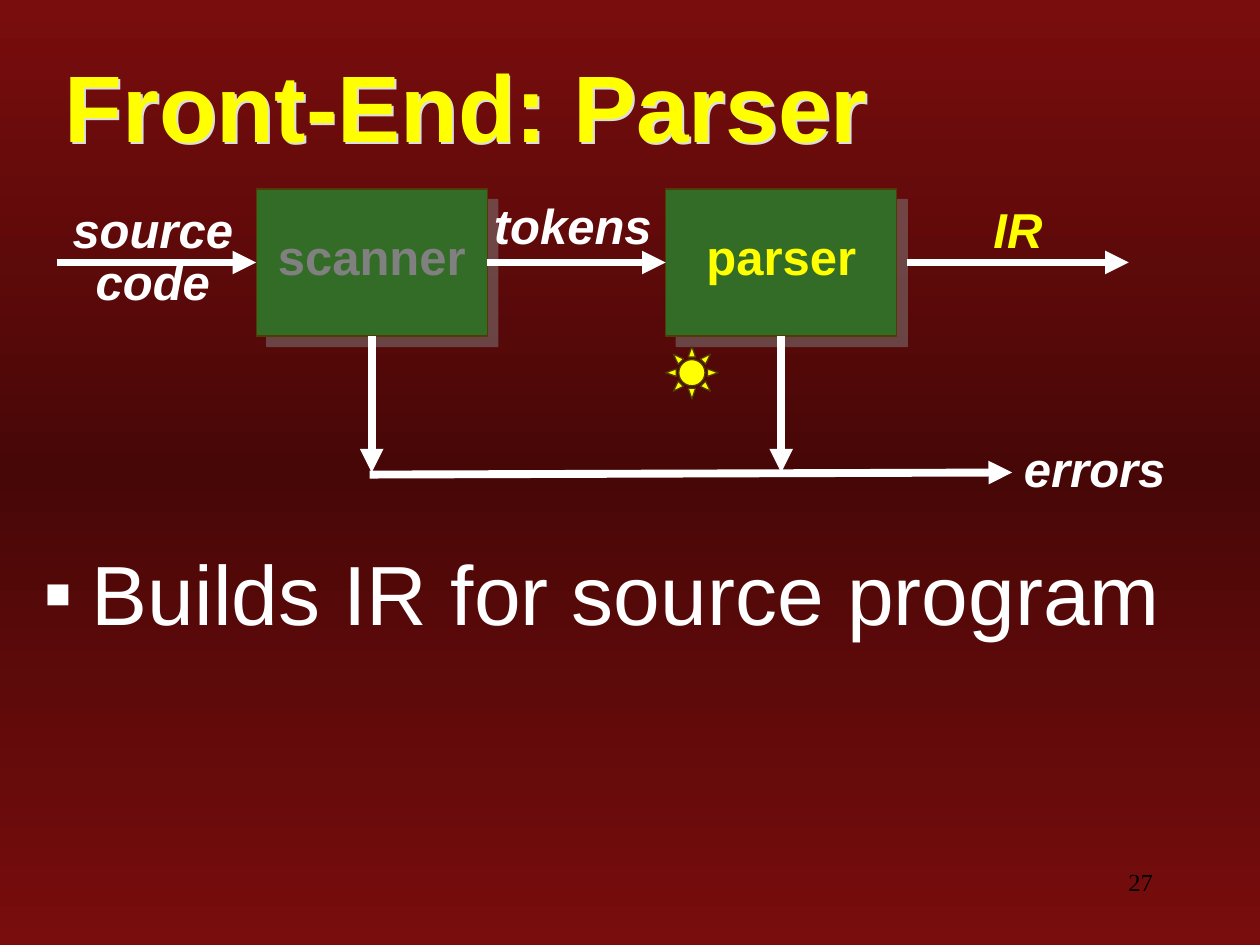
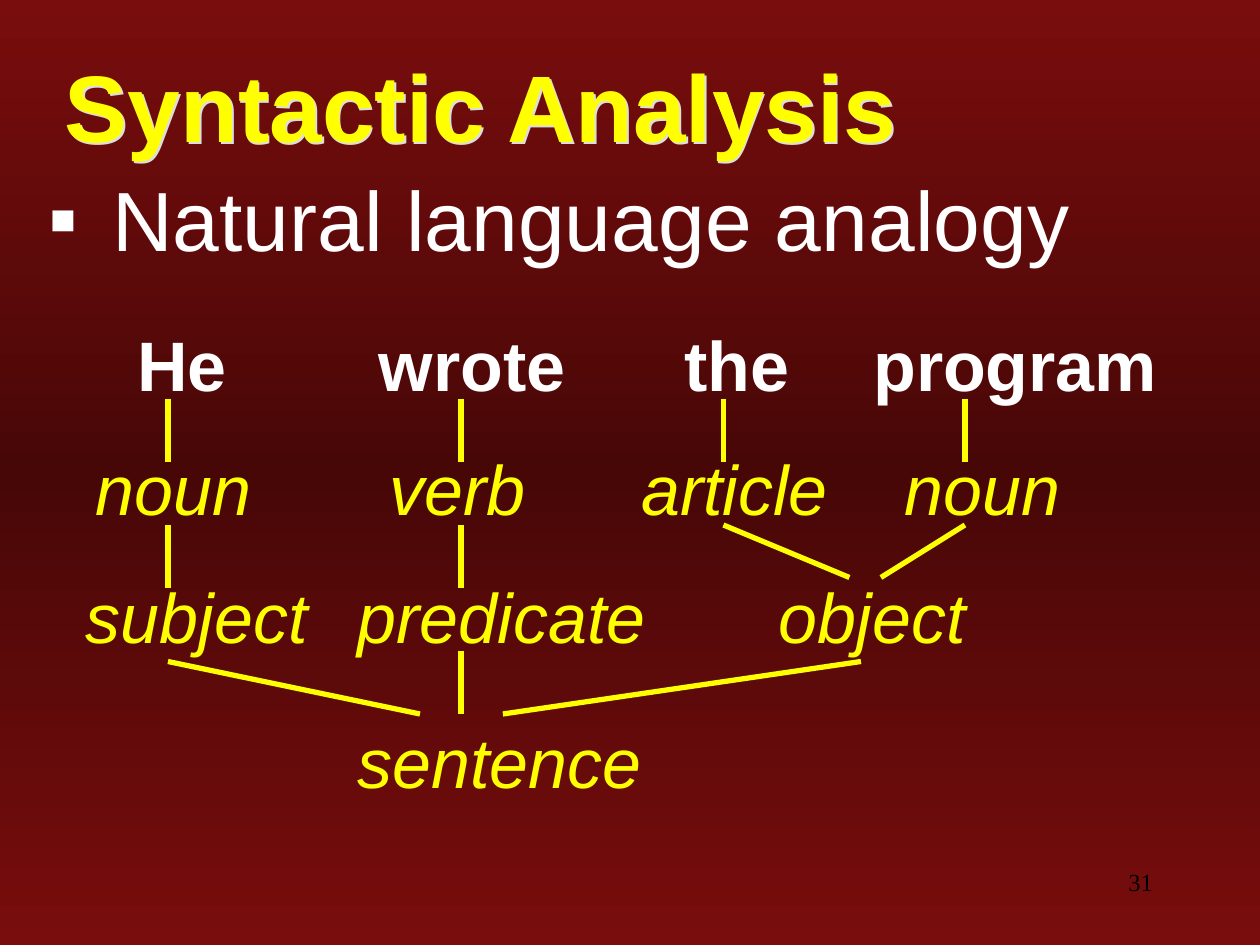
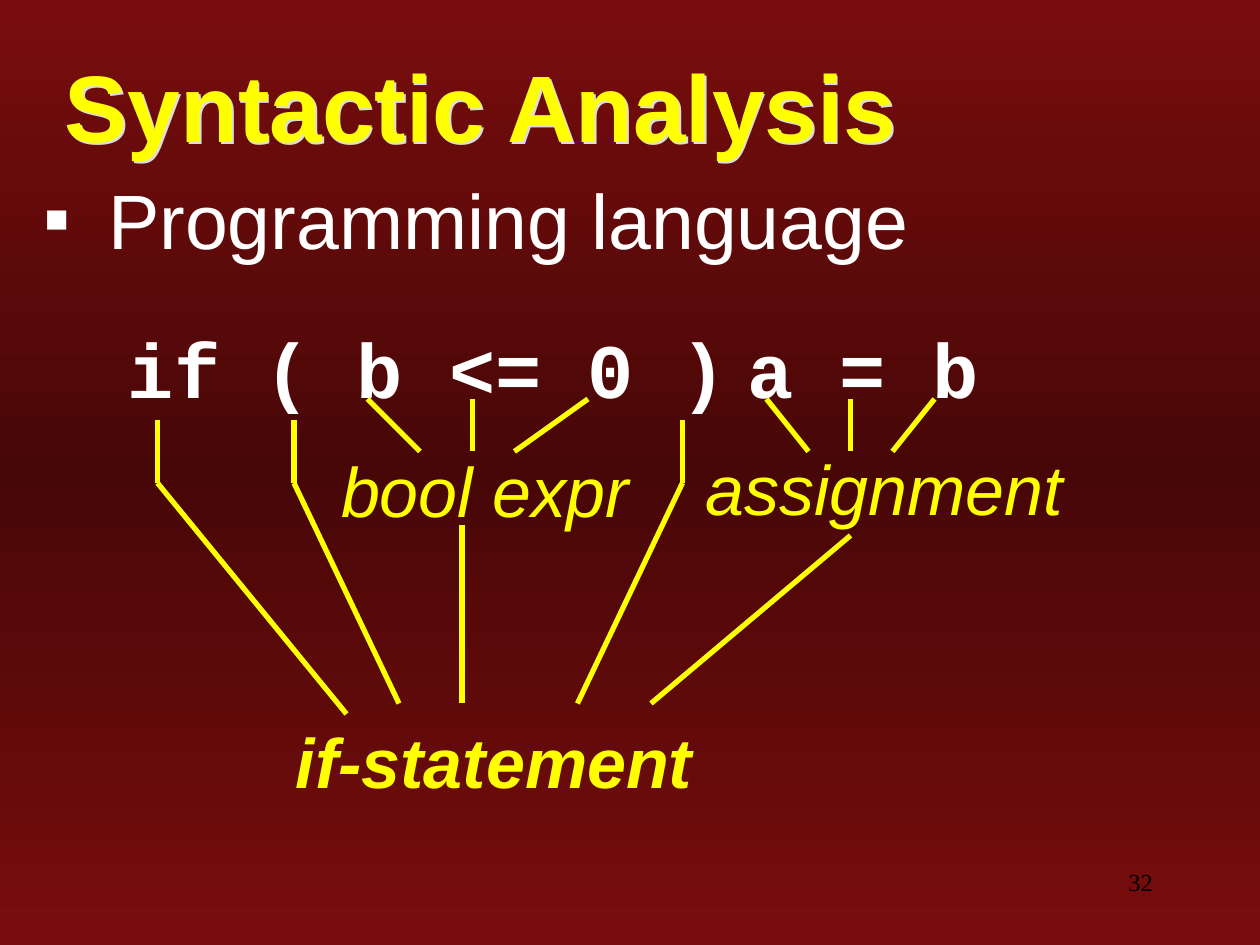
from dataclasses import dataclass, replace
from copy import deepcopy
from pptx import Presentation
from pptx.dml.color import RGBColor
from pptx.enum.shapes import MSO_CONNECTOR, MSO_SHAPE
from pptx.enum.text import MSO_ANCHOR, MSO_AUTO_SIZE, PP_ALIGN
from pptx.oxml import parse_xml
from pptx.oxml.ns import nsdecls, qn
from pptx.oxml.xmlchemy import OxmlElement
from pptx.util import Inches, Pt


@dataclass(frozen=True)
class Theme:
    """Colours, fonts and sizes shared by all slides."""
    edge: str = "790D0D"
    core: str = "480707"
    white: str = "FFFFFF"
    yellow: str = "FFFF00"
    grey: str = "808080"
    pale: str = "DDDDDD"
    green: str = "336C26"
    rim: str = "503C04"
    black: str = "000000"
    sans: str = "Arial"
    mono: str = "Courier New"
    serif: str = "Times New Roman"
    title: int = 54
    body: int = 48
    code: int = 44
    word: int = 40
    label: int = 28
    foot: int = 14
    arrow: float = 4.5
    branch: float = 3
    thin: float = 0.75


@dataclass(frozen=True)
class Style:
    """Look of one piece of text."""
    size: int
    color: str
    font: str = Theme.sans
    bold: bool = False
    italic: bool = False
    align: PP_ALIGN = PP_ALIGN.LEFT
    before: float = 0
    line: float = 1.0


T = Theme()
TITLE = Style(T.title, T.yellow, bold=True)
BODY = Style(T.body, T.white, before=T.body / 4)
FOOT = Style(T.foot, T.black, T.serif, align=PP_ALIGN.RIGHT)
NAME = Style(T.label, T.yellow, bold=True, align=PP_ALIGN.CENTER)
LABEL = replace(NAME, color=T.white, italic=True, line=0.9)
WORD = Style(T.word, T.white, bold=True, before=T.word * 0.625)
PART = replace(WORD, color=T.yellow, bold=False, italic=True)
CODE = replace(WORD, size=T.code, font=T.mono, before=T.code * 0.625)
WORD_H, CODE_H, LABEL_H = 9.2, 10.1, 6.2


def grid(*cells):
    """Turn grid cells, twelve to the inch, into lengths."""
    return [Inches(c / 12) for c in cells]


def rgb(code):
    """Make a colour from its hex code."""
    return RGBColor.from_string(code)


def shade(color, alpha, dist):
    """Make an effect list with a shadow to the lower right."""
    return parse_xml(
        f'<a:effectLst {nsdecls("a")}><a:outerShdw blurRad="0" '
        f'dist="{Pt(dist)}" dir="2700000" algn="tl" rotWithShape="0">'
        f'<a:srgbClr val="{color}"><a:alpha val="{alpha * 1000}"/>'
        '</a:srgbClr></a:outerShdw></a:effectLst>')


def text(slide, box, words, style, grow=True):
    """Add a text box and return it."""
    item = slide.shapes.add_textbox(*grid(*box))
    frame = item.text_frame
    frame.text = words
    frame.word_wrap = True
    frame.auto_size = (MSO_AUTO_SIZE.SHAPE_TO_FIT_TEXT if grow
                       else MSO_AUTO_SIZE.NONE)
    para = frame.paragraphs[0]
    para.alignment = style.align
    para.space_before = Pt(style.before)
    para.line_spacing = style.line
    for run in para.runs:
        font = run.font
        font.size, font.name = Pt(style.size), style.font
        font.bold, font.italic = style.bold, style.italic
        font.color.rgb = rgb(style.color)
    return item


def title(slide, words):
    """Add the title with a pale shadow behind its letters."""
    item = text(slide, (5, 5, 116, 10), words, TITLE, grow=False)
    item.text_frame.vertical_anchor = MSO_ANCHOR.MIDDLE
    item._element.spPr.append(shade(T.pale, 100, 1.5))


def bullet(slide, box, words, style, indent):
    """Add a body line with a square bullet and a hanging indent."""
    item = text(slide, box, words, style, grow=False)
    props = item.text_frame.paragraphs[0]._p.get_or_add_pPr()
    props.set("marL", str(Inches(indent)))
    props.set("indent", str(-Inches(indent)))
    props.append(parse_xml(f'<a:buClr {nsdecls("a")}>'
                           f'<a:srgbClr val="{T.white}"/></a:buClr>'))
    props.append(parse_xml(f'<a:buFont {nsdecls("a")} typeface="{T.sans}"/>'))
    props.append(parse_xml(f'<a:buChar {nsdecls("a")} char="\u25aa"/>'))


def shape(slide, kind, box, color):
    """Add a filled preset shape with a thin rim."""
    item = slide.shapes.add_shape(kind, *grid(*box))
    item.shadow.inherit = False
    item.fill.solid()
    item.fill.fore_color.rgb = rgb(color)
    item.line.color.rgb = rgb(T.rim)
    item.line.width = Pt(T.thin)
    return item


def stage(slide, left, words, color):
    """Add a compiler stage: a shadowed box and its name."""
    item = shape(slide, MSO_SHAPE.RECTANGLE, (left, 18, 22, 14), T.green)
    props = item._element.spPr
    props.replace(props.find(qn("a:effectLst")), shade(T.grey, 50, 8.5))
    text(slide, (left, 21, 22, 6.8), words, replace(NAME, color=color))


def line(slide, ends, color=T.yellow, width=T.branch, head=False):
    """Add a straight line, with an arrowhead if asked."""
    item = slide.shapes.add_connector(MSO_CONNECTOR.STRAIGHT, *grid(*ends))
    item.line.color.rgb = rgb(color)
    item.line.width = Pt(width)
    if head:
        tail = OxmlElement("a:tailEnd")
        tail.set("type", "triangle")
        item.line._get_or_add_ln().append(tail)
    item._element.spPr.append(OxmlElement("a:effectLst"))


def row(slide, top, high, style, words):
    """Add words on one row, each given as left, width and text."""
    for left, wide, word in words:
        text(slide, (left, top, wide, high), word, style)


def backdrop(deck):
    """Give the master the three-stop red gradient."""
    master = deck.slide_master
    fill = master.background.fill
    fill.gradient()
    fill.gradient_angle = 90
    stops = master.element.find(".//" + qn("p:bg")).find(".//" + qn("a:gsLst"))
    stops.append(deepcopy(stops[0]))
    marks = (0, T.edge), (0.5, T.core), (1, T.edge)
    for stop, (place, color) in zip(fill.gradient_stops, marks):
        stop.position = place
        stop.color.rgb = rgb(color)


def page(deck, words, number):
    """Add a blank slide with its title and page number."""
    slide = deck.slides.add_slide(deck.slide_layouts[6])
    title(slide, words)
    text(slide, (86, 82, 25, 6), str(number), FOOT, grow=False)
    return slide


def parser(deck):
    """Build the scanner and parser flow."""
    slide = page(deck, "Front-End: Parser", 27)
    bullet(slide, (3, 51, 117, 34), "Builds IR for source program", BODY, 0.38)
    scan, parse = 24.4, 63.4
    stage(slide, scan, "scanner", T.grey)
    stage(slide, parse, "parser", T.yellow)
    flows = [(5.4, 25, scan, 25), (scan + 22, 25, parse, 25),
             (86.4, 25, 107.5, 25), (35.2, 45.2, 96.4, 45)]
    drops = [(left + 11, 32, left + 11, 45) for left in (scan, parse)]
    for ends in flows + drops:
        line(slide, ends, T.white, T.arrow, head=True)
    text(slide, (4.4, 19, 20.3, 11.3), "source\vcode", LABEL)
    text(slide, (44.4, 18.7, 20.3, LABEL_H), "tokens", LABEL)
    text(slide, (85.3, 19, 23.3, LABEL_H), "IR",
         replace(LABEL, color=T.yellow))
    text(slide, (94.1, 41.8, 20.3, LABEL_H), "errors", LABEL)
    shape(slide, MSO_SHAPE.SUN, (parse, 33, 5, 5), T.yellow)


def natural(deck):
    """Build the parse tree of an English sentence."""
    slide = page(deck, "Syntactic Analysis", 31)
    bullet(slide, (3.4, 15.4, 117, 14), "Natural language analogy", BODY, 0.51)
    row(slide, 30, WORD_H, WORD, [(11.9, 14, "He"), (34.9, 24, "wrote"),
                                  (64, 24, "the"), (82, 32, "program")])
    row(slide, 41.8, WORD_H, PART, [(7.9, 19, "noun"), (35.9, 24, "verb"),
                                    (59.9, 24, "article"), (85, 28, "noun")])
    row(slide, 54, WORD_H, PART, [(7, 24, "subject"), (32.9, 31, "predicate"),
                                  (73, 24, "object")])
    row(slide, 67.8, WORD_H, PART, [(32.9, 35, "sentence")])
    he, verb, art, noun = 16, 43.9, 68.9, 91.9
    stems = [(x, 38) for x in (he, verb, art, noun)]
    stems += [(he, 50), (verb, 50), (verb, 62)]
    for x, top in stems:
        line(slide, (x, top, x, top + 6))
    for ends in ((art, 50, 80.9, 55), (noun, 50, 83.9, 55),
                 (he, 63, 40, 68), (82, 63, 47.9, 68)):
        line(slide, ends)


def program(deck):
    """Build the parse tree of an if statement."""
    slide = page(deck, "Syntactic Analysis", 32)
    bullet(slide, (3, 15.8, 117, 13), "Programming language",
           replace(BODY, size=T.code, before=T.code / 4), 0.51)
    row(slide, 30, CODE_H, CODE, [(11, 14, "if"), (24, 47, "( b <= 0 )"),
                                  (70, 30, "a = b")])
    row(slide, 42, WORD_H, PART, [(31.3, 34.4, "bool expr")])
    row(slide, 41.8, WORD_H, PART, [(66, 39, "assignment")])
    row(slide, 67.8, WORD_H, replace(PART, bold=True),
        [(27, 47, "if-statement")])
    for start, end in ((35, 40), (45, 45), (56, 49),
                       (73, 77), (81, 81), (89, 85)):
        line(slide, (start, 38, end, 43))
    for start, end, foot in ((15, 33, 68), (28, 38, 67), (65, 55, 67)):
        line(slide, (start, 40, start, 46))
        line(slide, (start, 46, end, foot))
    line(slide, (44, 50, 44, 67))
    line(slide, (81, 51, 62, 67))


def main():
    """Build and save the deck."""
    deck = Presentation()
    deck.slide_width, deck.slide_height = grid(120, 90)
    backdrop(deck)
    parser(deck)
    natural(deck)
    program(deck)
    deck.save("out.pptx")


main()
